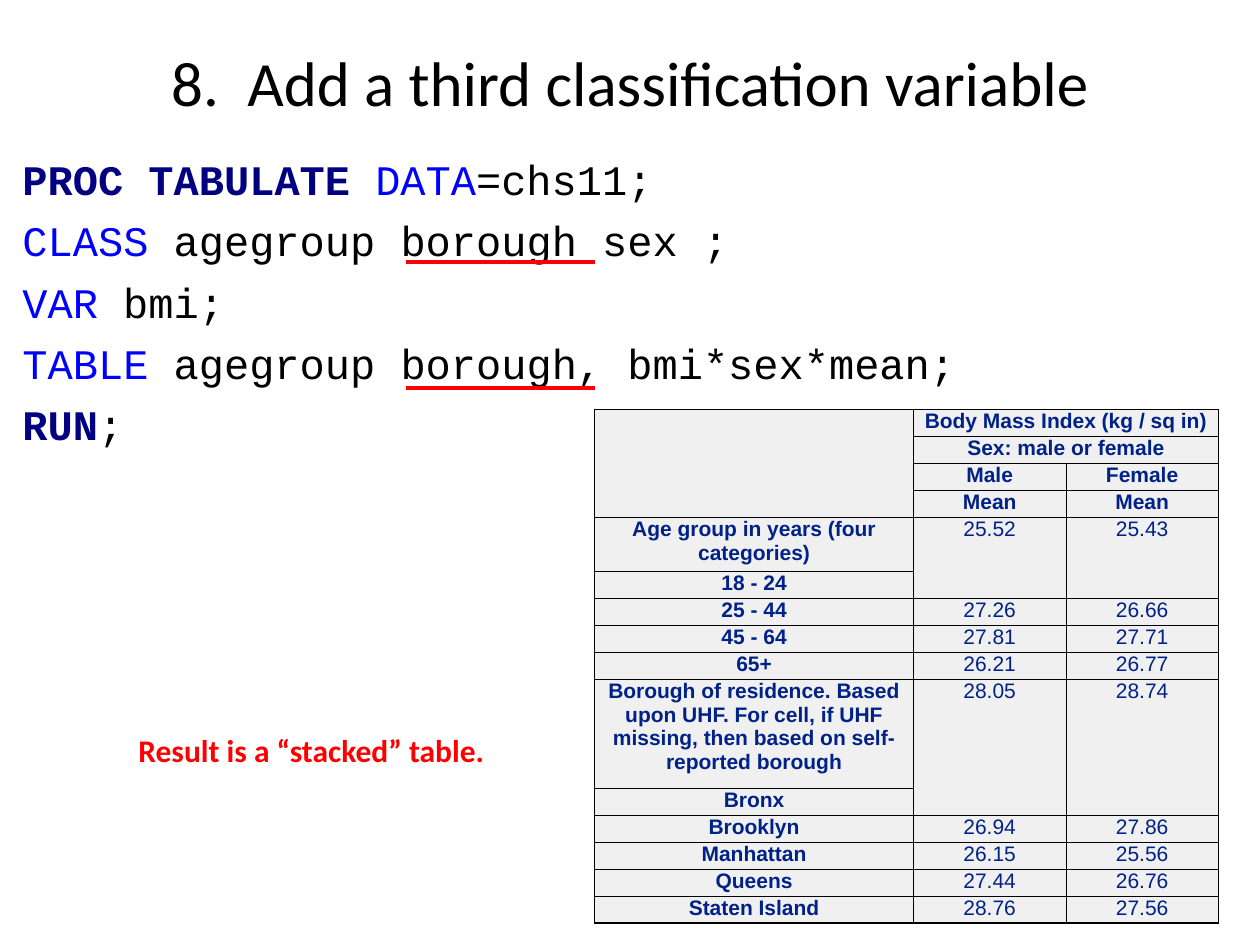
"""Build the slide on adding a third classification variable to PROC TABULATE."""
from dataclasses import dataclass

from lxml import etree
from pptx import Presentation
from pptx import util as u
from pptx.dml.color import RGBColor
from pptx.enum import shapes, text
from pptx.oxml.ns import qn


@dataclass(frozen=True)
class Theme:
    black: str = "000000"
    navy: str = "000080"
    blue: str = "0000FF"
    red: str = "FF0000"
    table_text: str = "002288"
    table_fill: str = "F0F0F0"
    sans: str = "Calibri"
    mono: str = "Courier New"
    table_font: str = "Arial"
    title_size: int = 36
    code_size: int = 24
    note_size: int = 18
    table_size: int = 12
    outer_border: float = 1
    inner_border: float = 0.5


THEME = Theme()
TITLE = "8.  Add a third classification variable"
NOTE = "Result is a “stacked” table."
CODE = [
    [("PROC TABULATE ", "step"), ("DATA", "keyword"), ("=chs11;", "plain")],
    [("CLASS", "keyword"), (" agegroup borough sex ;", "plain")],
    [("VAR", "keyword"), (" bmi;", "plain")],
    [("TABLE", "keyword"), (" agegroup borough, bmi*sex*mean;", "plain")],
    [("RUN", "step"), (";", "plain")],
]
CODE_STYLES = {
    "step": (THEME.navy, True),
    "keyword": (THEME.blue, False),
    "plain": (THEME.black, False),
}
ROWS = [
    ("", "Body Mass Index (kg / sq in)", ""),
    ("", "Sex: male or female", ""),
    ("", "Male", "Female"),
    ("", "Mean", "Mean"),
    ("Age group in years (four categories)", "25.52", "25.43"),
    ("18 - 24", "", ""),
    ("25 - 44", "27.26", "26.66"),
    ("45 - 64", "27.81", "27.71"),
    ("65+", "26.21", "26.77"),
    ("Borough of residence. Based upon UHF. For cell, if UHF missing, "
     "then based on self-reported borough", "28.05", "28.74"),
    ("Bronx", "", ""),
    ("Brooklyn", "26.94", "27.86"),
    ("Manhattan", "26.15", "25.56"),
    ("Queens", "27.44", "26.76"),
    ("Staten Island", "28.76", "27.56"),
]
HEADER_ROWS = 4
GROUP_ROWS = {4: 2, 9: 4}
COLUMN_WIDTHS = (2.53, 1.21, 1.21)
TABLE_LEFT, TABLE_TOP, TABLE_HEIGHT = 4.72, 3.25, 4.08
UNDERLINE_LEFT, UNDERLINE_RIGHT = 3.22, 4.72
UNDERLINE_TOPS = (2.08, 3.08)


def add_span(para, words, font, size, color, bold=False):
    span = para.add_run()
    span.text = words
    span.font.name, span.font.size, span.font.bold = font, u.Pt(size), bold
    span.font.color.rgb = RGBColor.from_string(color)


def add_box(page, left, top, width, height):
    box = page.shapes.add_textbox(*map(u.Inches, (left, top, width, height)))
    box.text_frame.word_wrap = True
    return box.text_frame


def set_borders(cell, widths):
    properties = cell._tc.get_or_add_tcPr()
    for side, width in zip("LRTB", widths):
        line = etree.SubElement(properties, qn(f"a:ln{side}"), w=str(u.Pt(width)))
        fill = etree.SubElement(line, qn("a:solidFill"))
        etree.SubElement(fill, qn("a:srgbClr"), val=THEME.black)


def fill_cell(cell, words, bold):
    cell.margin_left = cell.margin_right = cell.margin_top = cell.margin_bottom = 0
    cell.fill.solid()
    cell.fill.fore_color.rgb = RGBColor.from_string(THEME.table_fill)
    para = cell.text_frame.paragraphs[0]
    para.alignment = text.PP_ALIGN.CENTER
    if words:
        add_span(para, words, THEME.table_font, THEME.table_size, THEME.table_text, bold)
    else:
        etree.SubElement(para._p, qn("a:endParaRPr"), sz=str(THEME.table_size * 100))


def add_results(page):
    units = [GROUP_ROWS.get(row, 1) for row in range(len(ROWS))]
    unit = u.Inches(TABLE_HEIGHT) / sum(units)
    frame = page.shapes.add_table(
        len(ROWS), len(COLUMN_WIDTHS), u.Inches(TABLE_LEFT), u.Inches(TABLE_TOP),
        u.Inches(sum(COLUMN_WIDTHS)), u.Inches(TABLE_HEIGHT))
    table = frame.table
    for column, width in zip(table.columns, COLUMN_WIDTHS):
        column.width = u.Inches(width)
    for row, count in zip(table.rows, units):
        row.height = int(unit * count)
    last_row, last_column = len(ROWS) - 1, len(COLUMN_WIDTHS) - 1
    for r, row in enumerate(ROWS):
        for c, words in enumerate(row):
            cell = table.cell(r, c)
            edges = (c == 0, c == last_column, r == 0, r == last_row)
            set_borders(cell, [THEME.outer_border if edge else THEME.inner_border
                               for edge in edges])
            fill_cell(cell, words, bold=c == 0 or r < HEADER_ROWS)
    merges = [((0, 0), (HEADER_ROWS - 1, 0))]
    merges += [((r, 1), (r, last_column)) for r in (0, 1)]
    merges += [((r, c), (r + 1, c)) for r in GROUP_ROWS for c in (1, 2)]
    for start, end in merges:
        table.cell(*start).merge(table.cell(*end))


def add_underline(page, top):
    line = page.shapes.add_connector(
        shapes.MSO_CONNECTOR.STRAIGHT, u.Inches(UNDERLINE_LEFT), u.Inches(top),
        u.Inches(UNDERLINE_RIGHT), u.Inches(top))
    line.line.color.rgb = RGBColor.from_string(THEME.red)
    line.line.width = u.Pt(2)
    etree.SubElement(line._element.spPr, qn("a:effectLst"))


deck = Presentation()
deck.slide_width, deck.slide_height = u.Inches(10), u.Inches(7.5)
page = deck.slides.add_slide(deck.slide_layouts[6])

title = add_box(page, 0.5, 0.02, 9, 1.25)
title.vertical_anchor = text.MSO_ANCHOR.MIDDLE
title.paragraphs[0].alignment = text.PP_ALIGN.CENTER
add_span(title.paragraphs[0], TITLE, THEME.sans, THEME.title_size, THEME.black)

code = add_box(page, 0.08, 1.17, 9, 4.95)
for index, statement in enumerate(CODE):
    para = code.add_paragraph() if index else code.paragraphs[0]
    para.space_before = u.Pt(6.2)
    for words, style in statement:
        add_span(para, words, THEME.mono, THEME.code_size, *CODE_STYLES[style])

add_results(page)
for top in UNDERLINE_TOPS:
    add_underline(page, top)

note = add_box(page, 1, 5.75, 3.42, 0.4)
add_span(note.paragraphs[0], NOTE, THEME.sans, THEME.note_size, THEME.red, True)

deck.save("out.pptx")
